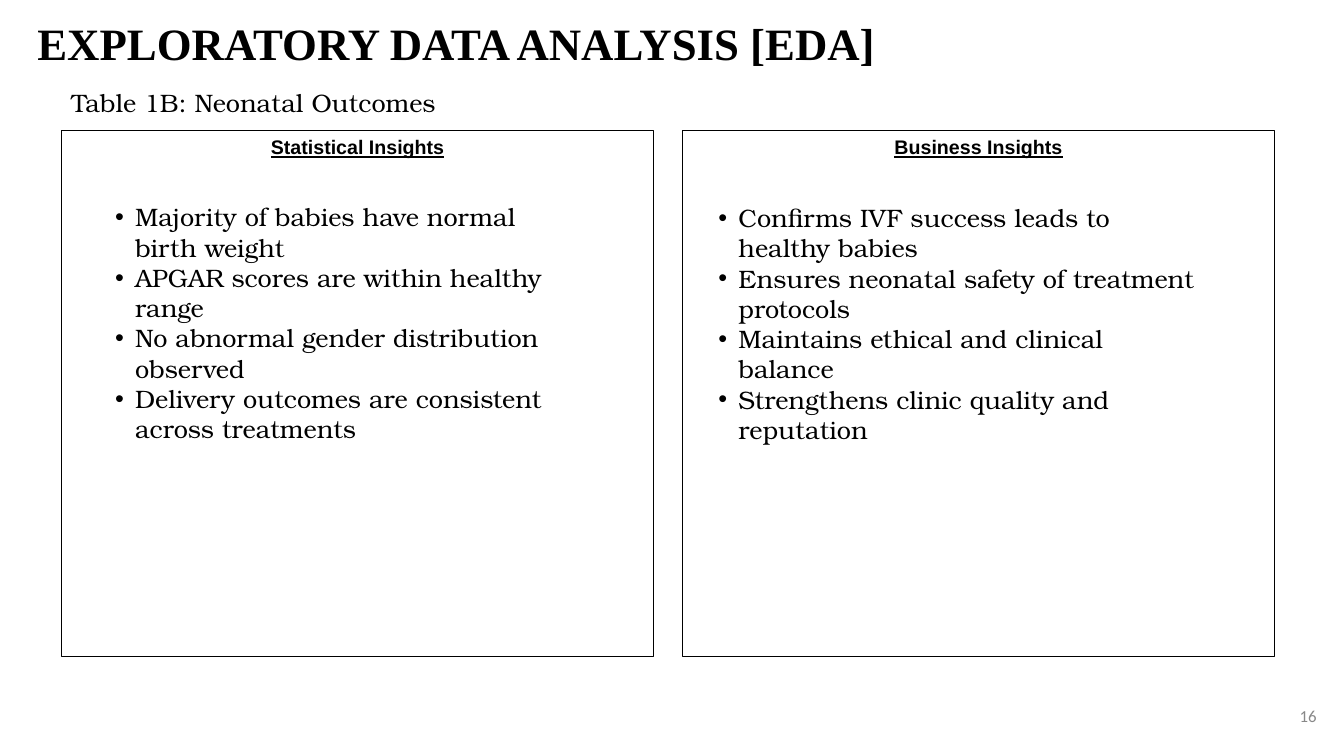
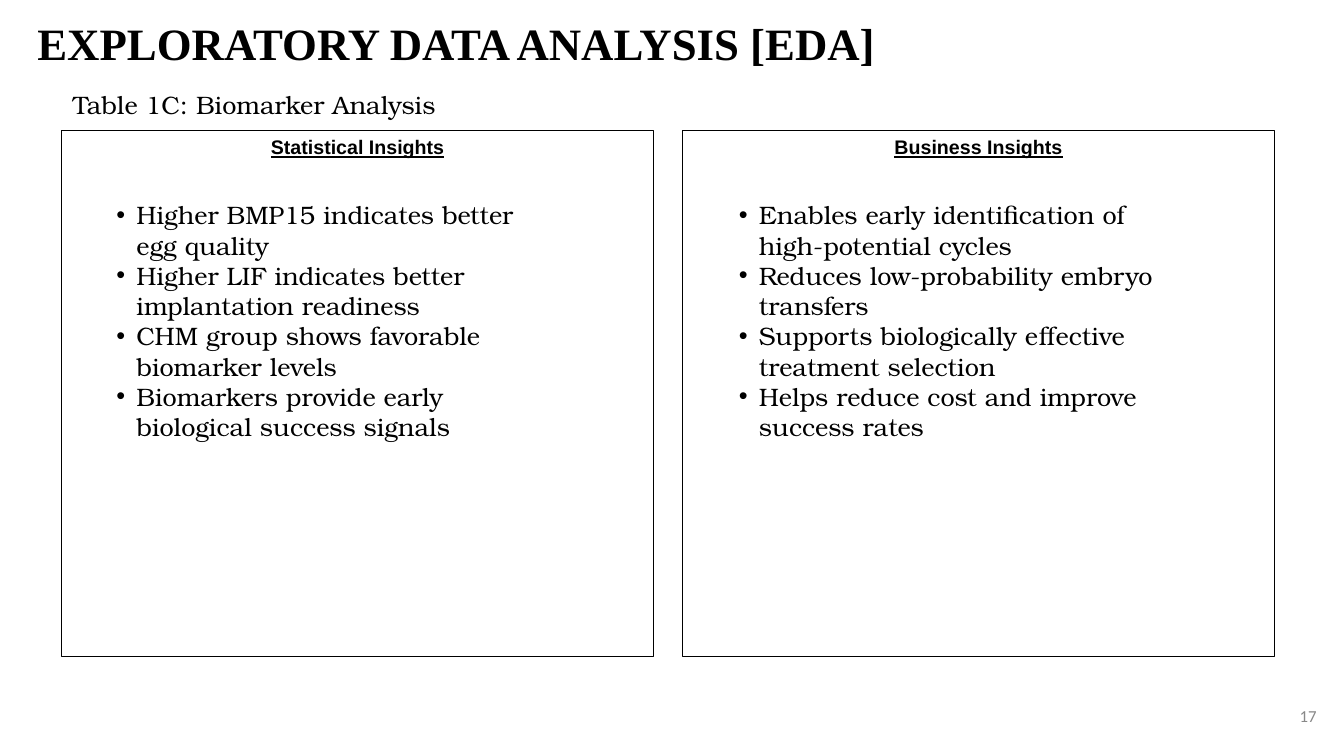
from dataclasses import dataclass
from typing import Any

from lxml import etree
from pptx import Presentation
from pptx.dml.color import RGBColor
from pptx.enum import shapes, text
from pptx.oxml import ns
from pptx.util import Pt

BLACK = RGBColor(0x00, 0x00, 0x00)
GREY = RGBColor(0x88, 0x88, 0x88)

TITLE = "EXPLORATORY DATA ANALYSIS [EDA]"
HEADINGS = ("Statistical Insights", "Business Insights")
FIRST_NUMBER = 16

TITLE_FONT = {"name": "Times New Roman", "size": Pt(32), "bold": True}
HEADING_FONT = {"name": "Arial", "size": Pt(14), "bold": True, "underline": True}
BODY_FONT = {"name": "TeX Gyre Bonum", "size": Pt(18)}
NUMBER_FONT = {"name": "Calibri", "size": Pt(12)}

PANEL_LEFT, PANEL_TOP = 44, 93
PANEL_WIDTH, PANEL_HEIGHT = 423, 376
PANEL_STEP = 443.5
LIST_HEIGHT = 184
BULLET_INDENT = 14.3


@dataclass(frozen=True)
class Area:
    left: float
    top: float
    width: float
    height: float


@dataclass(frozen=True)
class Insights:
    area: Area
    points: tuple[str, ...]


@dataclass(frozen=True)
class Topic:
    caption: str
    caption_area: Area
    columns: tuple[Insights, Insights]


TITLE_AREA = Area(19.5, 11.5, 728, 42.5)
NUMBER_AREA = Area(916.5, 499.5, 31, 23)

TOPICS = (
    Topic(
        "Table 1B: Neonatal Outcomes",
        Area(44, 59, 482, 29),
        (
            Insights(Area(75, 140.5, 340, LIST_HEIGHT), (
                "Majority of babies have normal birth weight",
                "APGAR scores are within healthy range",
                "No abnormal gender distribution observed",
                "Delivery outcomes are consistent across treatments",
            )),
            Insights(Area(506, 141, 361, LIST_HEIGHT), (
                "Confirms IVF success leads to healthy babies",
                "Ensures neonatal safety of treatment protocols",
                "Maintains ethical and clinical balance",
                "Strengthens clinic quality and reputation",
            )),
        ),
    ),
    Topic(
        "Table 1C: Biomarker Analysis",
        Area(45, 60, 482, 29),
        (
            Insights(Area(76, 139, 328, LIST_HEIGHT), (
                "Higher BMP15 indicates better egg quality",
                "Higher LIF indicates better implantation readiness",
                "CHM group shows favorable biomarker levels",
                "Biomarkers provide early biological success signals",
            )),
            Insights(Area(520.5, 139, 330, LIST_HEIGHT), (
                "Enables early identification of high-potential cycles",
                "Reduces low-probability embryo transfers",
                "Supports biologically effective treatment selection",
                "Helps reduce cost and improve success rates",
            )),
        ),
    ),
)


def bounds(area: Area) -> tuple[int, int, int, int]:
    return Pt(area.left), Pt(area.top), Pt(area.width), Pt(area.height)


def place(box: Any, area: Area) -> None:
    box.left, box.top, box.width, box.height = bounds(area)


def style(target: Any, values: dict[str, Any], color: RGBColor = BLACK) -> None:
    for name, value in values.items():
        setattr(target.font, name, value)
    target.font.color.rgb = color


def write(box: Any, wording: str, font: dict[str, Any],
          align: Any = text.PP_ALIGN.LEFT, anchor: Any = text.MSO_ANCHOR.TOP,
          color: RGBColor = BLACK) -> Any:
    frame = box.text_frame
    frame.word_wrap = True
    frame.auto_size = text.MSO_AUTO_SIZE.NONE
    frame.vertical_anchor = anchor
    para = frame.paragraphs[0]
    para.alignment = align
    span = para.add_run()
    span.text = wording
    style(span, font, color)
    return para


def add_bullet(para: Any) -> None:
    properties = para._p.get_or_add_pPr()
    properties.set("marL", str(Pt(BULLET_INDENT)))
    properties.set("indent", str(-Pt(BULLET_INDENT)))
    etree.SubElement(properties, ns.qn("a:buChar")).set("char", "•")


def fill_list(box: Any, insights: Insights) -> None:
    place(box, insights.area)
    frame = box.text_frame
    frame.word_wrap = True
    frame.auto_size = text.MSO_AUTO_SIZE.NONE
    for index, point in enumerate(insights.points):
        para = frame.add_paragraph() if index else frame.paragraphs[0]
        para.space_before = Pt(0)
        add_bullet(para)
        span = para.add_run()
        span.text = point
        style(span, BODY_FONT)


def add_panel(page: Any, column: int, heading: str) -> None:
    area = Area(PANEL_LEFT + column * PANEL_STEP, PANEL_TOP, PANEL_WIDTH, PANEL_HEIGHT)
    panel = page.shapes.add_shape(shapes.MSO_SHAPE.RECTANGLE, *bounds(area))
    panel.shadow.inherit = False
    panel.fill.background()
    panel.line.color.rgb = BLACK
    panel.line.width = Pt(0.75)
    write(panel, heading, HEADING_FONT, text.PP_ALIGN.CENTER)


def add_page(deck: Any, topic: Topic, number: int) -> None:
    page = deck.slides.add_slide(deck.slide_layouts.get_by_name("Two Content"))
    title, *lists = [box for box in page.placeholders]
    place(title, TITLE_AREA)
    para = write(title, TITLE, TITLE_FONT, anchor=text.MSO_ANCHOR.MIDDLE)
    para.line_spacing = 0.9

    for column, heading in enumerate(HEADINGS):
        add_panel(page, column, heading)
        fill_list(lists[column], topic.columns[column])

    caption = page.shapes.add_textbox(*bounds(topic.caption_area))
    write(caption, topic.caption, BODY_FONT)
    page_number = page.shapes.add_textbox(*bounds(NUMBER_AREA))
    write(page_number, str(number), NUMBER_FONT, text.PP_ALIGN.RIGHT,
          text.MSO_ANCHOR.MIDDLE, GREY)


def main() -> None:
    deck = Presentation()
    deck.slide_width, deck.slide_height = Pt(960), Pt(540)
    for number, topic in enumerate(TOPICS, FIRST_NUMBER):
        add_page(deck, topic, number)
    deck.save("out.pptx")


if __name__ == "__main__":
    main()
